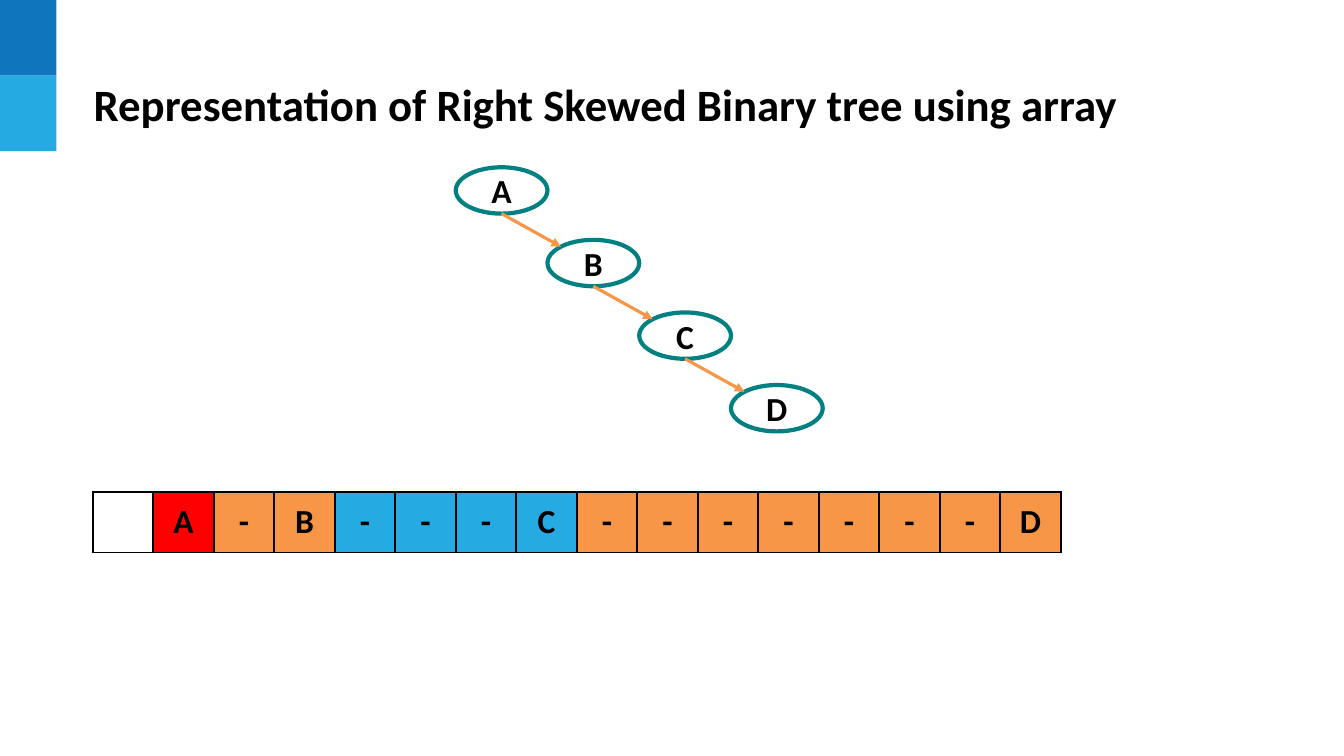
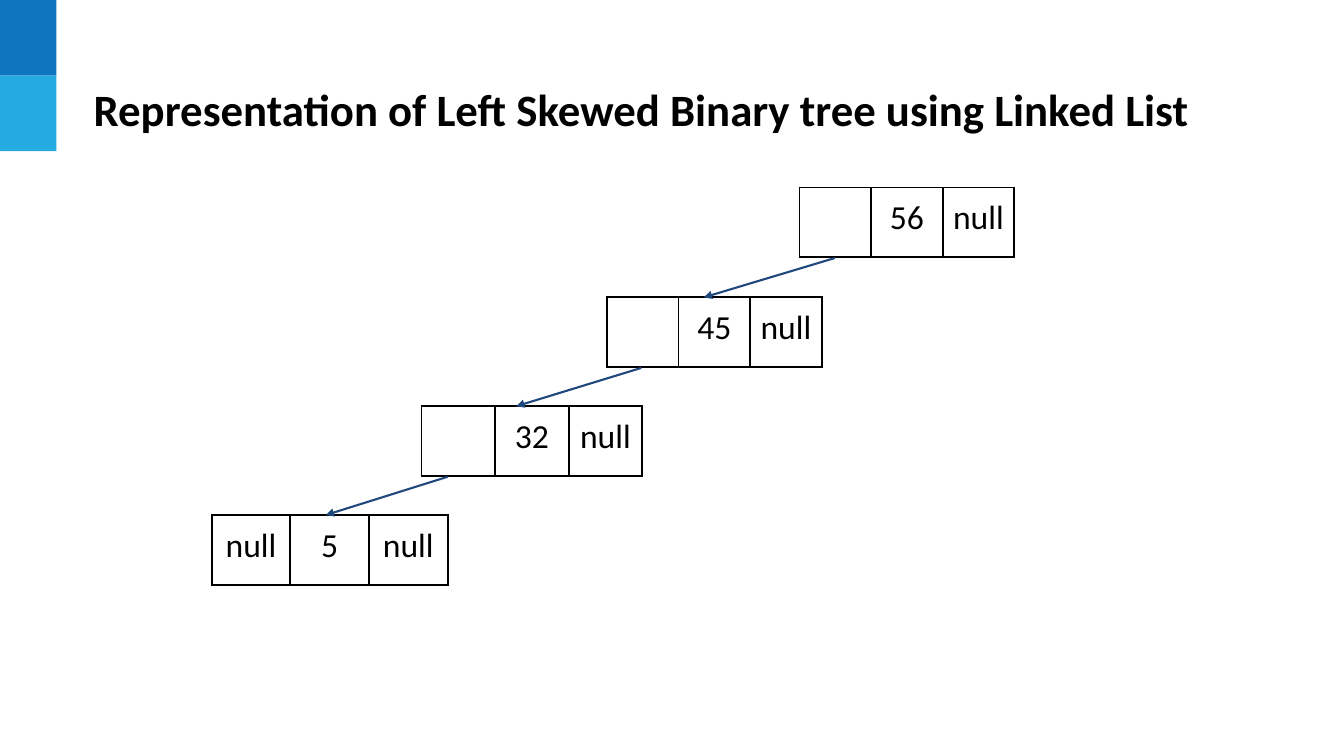
from math import sqrt

from lxml.etree import SubElement
from pptx import Presentation
from pptx.dml.color import RGBColor
from pptx.enum.shapes import MSO_CONNECTOR as Line, MSO_SHAPE as Shape
from pptx.enum.text import MSO_ANCHOR as Anchor, PP_ALIGN as Align
from pptx.oxml import parse_xml
from pptx.oxml.ns import nsdecls, qn
from pptx.util import Inches, Pt

# Content
ARRAY_TITLE = "Representation of Right Skewed Binary tree using array"
TREE = ["A", "B", "C", "D"]
LEVELS = [("", None), ("A", "red"), ("-B", "orange"),
          ("---C", "sky"), ("-------D", "orange")]

LIST_TITLE = "Representation of Left Skewed Binary tree using Linked List"
NODES = [  # left, top, cell width, cell texts
    (7.93, 1.86, 0.71, ["", "56", "null"]),
    (6.02, 2.95, 0.71, ["", "45", "null"]),
    (4.18, 4.03, 0.73, ["", "32", "null"]),
    (2.10, 5.11, 0.78, ["null", "5", "null"]),
]
LINKS = [(8.28, 6.98), (6.36, 5.12), (4.44, 3.23)]  # x of tail and head


class Theme:
    ink, white, red = "000000", "FFFFFF", "FF0000"
    blue, sky, teal = "0F75BD", "25AAE2", "008080"
    orange, navy = "F79646", "1F497D"
    title = dict(name="Calibri", size=Pt(32), bold=True)
    label = dict(name="Calibri", size=Pt(24), bold=True)
    plain = dict(name="Calibri", size=Pt(24), bold=False)
    cell = dict(margin_left=Inches(0.05), margin_right=Inches(0.05),
                margin_top=Inches(0.1), margin_bottom=Inches(0.1),
                vertical_anchor=Anchor.TOP)
    border = 1.5


def rgb(tone):
    return RGBColor.from_string(tone)


def apply(item, values):
    for name, value in values.items():
        setattr(item, name, value)


def write(frame, text, style, align):
    para = frame.paragraphs[0]
    para.alignment = align
    run = para.add_run()
    run.text = text
    apply(run.font, style)
    run.font.color.rgb = rgb(Theme.ink)


def add_form(slide, kind, box, fill, line=None):
    form = slide.shapes.add_shape(kind, *map(Inches, box))
    form.shadow.inherit = False
    form.fill.solid()
    form.fill.fore_color.rgb = rgb(fill)
    if line:
        form.line.color.rgb = rgb(line)
        form.line.width = Pt(3)
    else:
        form.line.fill.background()
    return form


def add_arrow(slide, start, end, tone, width):
    arrow = slide.shapes.add_connector(Line.STRAIGHT, *map(Inches, start + end))
    arrow.line.color.rgb = rgb(tone)
    arrow.line.width = Pt(width)
    ln = arrow.line._get_or_add_ln()
    SubElement(ln, qn("a:tailEnd"), type="triangle")
    SubElement(arrow._element.spPr, qn("a:effectLst"))


def add_border(cell):
    props = cell._tc.get_or_add_tcPr()
    for spot, side in enumerate("LRTB"):
        props.insert(spot, parse_xml(
            f'<a:ln{side} {nsdecls("a")} w="{Pt(Theme.border)}"><a:solidFill>'
            f'<a:srgbClr val="{Theme.ink}"/></a:solidFill></a:ln{side}>'))


def add_row(slide, left, top, width, height, cells, style):
    """Draw a one-row table from (text, fill) pairs."""
    box = map(Inches, (left, top, width * len(cells), height))
    table = slide.shapes.add_table(1, len(cells), *box).table
    apply(table, dict(first_row=False, horz_banding=False))
    for col, (text, fill) in enumerate(cells):
        table.columns[col].width = Inches(width)
        cell = table.cell(0, col)
        apply(cell, Theme.cell)
        if fill:
            cell.fill.solid()
            cell.fill.fore_color.rgb = rgb(fill)
        else:
            cell.fill.background()
        if text:
            write(cell.text_frame, text, style, Align.CENTER)
        add_border(cell)


def add_slide(deck, title, top):
    slide = deck.slides.add_slide(deck.slide_layouts[6])
    for row, tone in enumerate((Theme.blue, Theme.sky)):
        add_form(slide, Shape.RECTANGLE, (0, 0.75 * row, 0.56, 0.75), tone)
    box = slide.shapes.add_textbox(*map(Inches, (0.83, top, 11.95, 1.26)))
    apply(box.text_frame, dict(word_wrap=True, vertical_anchor=Anchor.MIDDLE))
    write(box.text_frame, title, Theme.title, Align.LEFT)
    return slide


def add_tree(slide):
    """Step the nodes down to the right, each linked to the next."""
    wide, high = 0.91, 0.46
    spots = [(4.52 + 0.91 * i, 1.66 + 0.72 * i) for i in range(len(TREE))]
    for (left, top), name in zip(spots, TREE):
        node = add_form(slide, Shape.OVAL, (left, top, wide, high),
                        Theme.white, Theme.teal)
        node.text_frame.vertical_anchor = Anchor.MIDDLE
        write(node.text_frame, name, Theme.label, Align.CENTER)
    inset = (1 - 1 / sqrt(2)) / 2  # upper left point of an oval
    for (left, top), (x, y) in zip(spots, spots[1:]):
        add_arrow(slide, (left + wide / 2, top + high),
                  (x + wide * inset, y + high * inset), Theme.orange, 2.25)


def add_list(slide):
    for left, top, width, texts in NODES:
        cells = [(text, None) for text in texts]
        add_row(slide, left, top, width, 0.69, cells, Theme.plain)
    for (tail, head), node, child in zip(LINKS, NODES, NODES[1:]):
        add_arrow(slide, (tail, node[1] + 0.7), (head, child[1]),
                  Theme.navy, 1.5)


def main():
    deck = Presentation()
    apply(deck, dict(slide_width=Inches(13.33), slide_height=Inches(7.5)))

    slide = add_slide(deck, ARRAY_TITLE, 0.4)
    add_tree(slide)
    cells = [("", None)] + [(key, getattr(Theme, tone))
                            for keys, tone in LEVELS for key in keys]
    add_row(slide, 0.92, 4.88, 0.6, 0.6, cells, Theme.label)

    add_list(add_slide(deck, LIST_TITLE, 0.45))
    deck.save("out.pptx")


if __name__ == "__main__":
    main()
